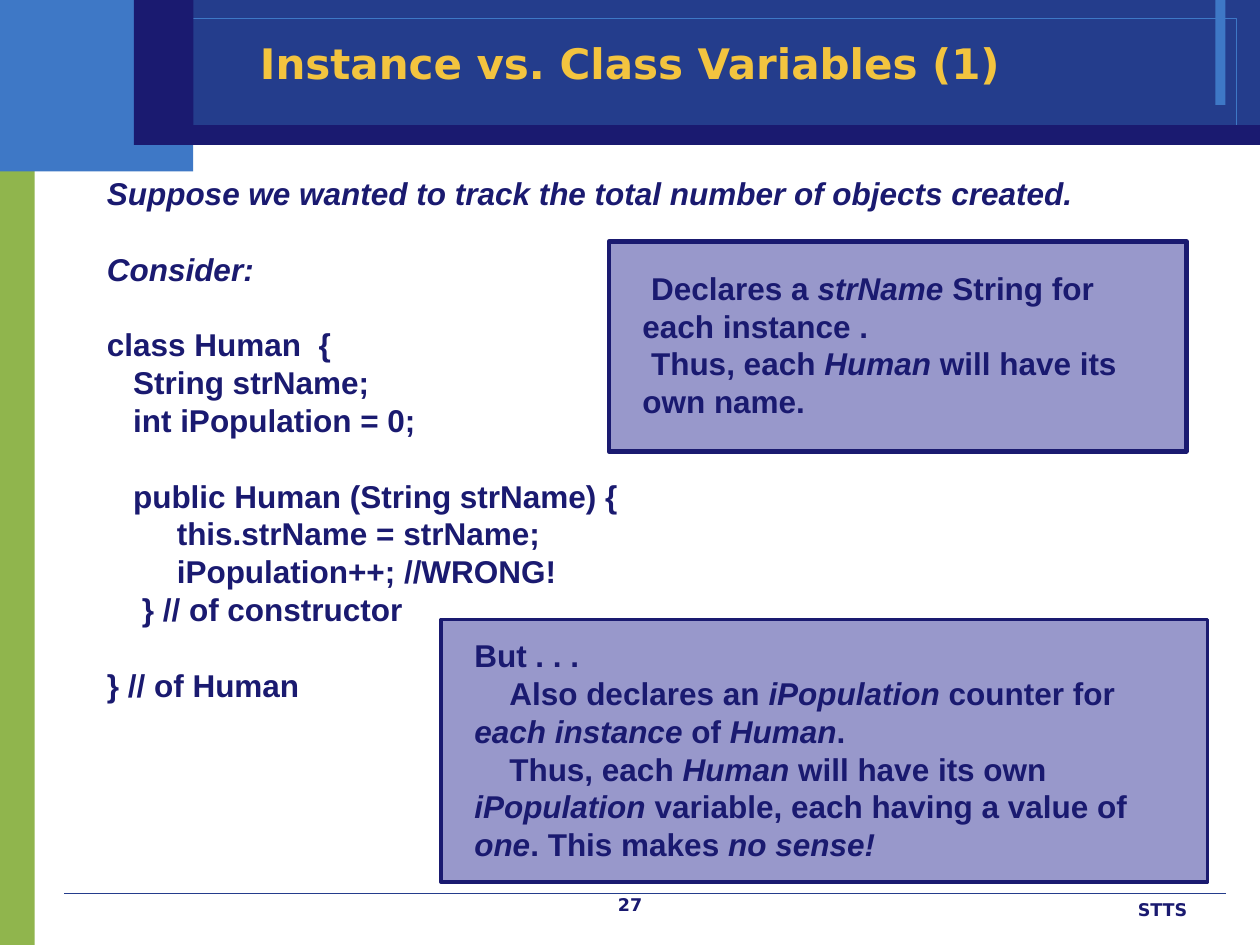
from lxml.etree import SubElement
from pptx import Presentation
from pptx.dml.color import RGBColor
from pptx.enum.shapes import MSO_CONNECTOR, MSO_SHAPE
from pptx.enum.text import MSO_ANCHOR, PP_ALIGN
from pptx.oxml.ns import qn
from pptx.util import Pt

COLORS = {
    "green": "90B54D", "sky": "3E78C6", "blue": "243D8C",
    "navy": "1A1A70", "gold": "F3C43F", "violet": "333399",
}

TITLE = "Instance vs. Class Variables (1)"
PAGE_NUMBER = "27"
FOOTER = "STTS"

LESSON_BLOCKS = [
    ["*Suppose we wanted to track the total number of objects created.*"],
    ["*Consider:*"],
    ["class Human  {", "   String strName;", "   int iPopulation = 0;"],
    ["   public Human (String strName) {",
     "        this.strName = strName;",
     "        iPopulation++; //WRONG!",
     "    } // of constructor"],
    ["} // of Human"],
]

NOTES = [
    {"card": (348, 138, 330, 120), "border": 2.5, "box": (360, 150, 306, 115),
     "lines": [("Declares a *strName* String for each instance .", 5),
               ("Thus, each *Human* will have its own name.", 5)]},
    {"card": (252, 354, 438, 150), "border": 2, "box": (264, 360, 396, 137),
     "lines": [("But . . .", 0),
               ("Also declares an *iPopulation* counter for "
                "*each instance* of *Human*.", 20),
               ("Thus, each *Human* will have its own *iPopulation* variable, "
                "each having a value of *one*. This makes *no sense!*", 20)]},
]

BANDS = [
    ((0, 76.8, 19.8, 463.2), "green", None),
    ((0, 0, 110.4, 98), "sky", None),
    ((110.4, 0, 609.6, 82.8), "blue", None),
    ((694.5, 0, 5.8, 60), "sky", None),
    ((14.4, 10.5, 691.9, 61.2), None, "sky"),
    ((93.6, 71.5, 626.4, 11.3), "navy", None),
    ((76.5, 0, 34, 82.8), "navy", None),
]

LINE_HEIGHT = 21.6


def rgb(name):
    return RGBColor.from_string(COLORS[name])


def add_rect(slide, frame, fill=None, line=None, width=0.5, alpha=None):
    rect = slide.shapes.add_shape(MSO_SHAPE.RECTANGLE, *map(Pt, frame))
    rect.shadow.inherit = False
    if fill:
        rect.fill.solid()
        rect.fill.fore_color.rgb = rgb(fill)
    else:
        rect.fill.background()
    if alpha:
        color = rect.fill._xPr.find(qn("a:solidFill"))[0]
        SubElement(color, qn("a:alpha"), val=str(alpha * 1000))
    if line:
        rect.line.color.rgb = rgb(line)
        rect.line.width = Pt(width)
    else:
        rect.line.fill.background()


def add_box(slide, frame):
    return slide.shapes.add_textbox(*map(Pt, frame))


def write(holder, text, size=18, font="Arial", color="navy", first=True,
          align=PP_ALIGN.LEFT, before=0, indent=0, leading=None):
    frame = holder.text_frame
    frame.word_wrap = True
    paragraph = frame.paragraphs[0] if first else frame.add_paragraph()
    paragraph.alignment = align
    paragraph.space_before = Pt(before)
    if leading:
        paragraph.line_spacing = Pt(leading)
    if indent:
        paragraph._p.get_or_add_pPr().set("indent", str(Pt(indent)))
    for position, piece in enumerate(text.split("*")):
        if piece:
            run = paragraph.add_run()
            run.text = piece
            run.font.size = Pt(size)
            run.font.name = font
            run.font.bold = True
            run.font.italic = position % 2 == 1
            run.font.color.rgb = rgb(color)


def add_backdrop(slide):
    for frame, fill, line in BANDS:
        add_rect(slide, frame, fill, line)
    rule = slide.shapes.add_connector(
        MSO_CONNECTOR.STRAIGHT, Pt(36.6), Pt(510.5), Pt(700.5), Pt(510.5))
    rule.line.color.rgb = rgb("blue")
    rule.line.width = Pt(0.5)
    SubElement(rule._element.spPr, qn("a:effectLst"))


def add_lesson(slide):
    lesson = add_box(slide, (54, 96, 630, 353))
    for block_index, block in enumerate(LESSON_BLOCKS):
        for line_index, text in enumerate(block):
            first = block_index == line_index == 0
            opens_block = line_index == 0 and not first
            write(lesson, text, first=first, leading=LINE_HEIGHT,
                  before=LINE_HEIGHT if opens_block else 0)


def add_note(slide, note):
    add_rect(slide, note["card"], "violet", "navy", note["border"], alpha=50)
    explanation = add_box(slide, note["box"])
    for index, (text, indent) in enumerate(note["lines"]):
        write(explanation, text, first=index == 0, indent=indent,
              leading=LINE_HEIGHT)


def main():
    deck = Presentation()
    deck.slide_width, deck.slide_height = Pt(720), Pt(540)
    slide = deck.slides.add_slide(deck.slide_layouts[5])
    add_backdrop(slide)
    write(add_box(slide, (552, 510, 133.5, 18)), FOOTER, size=10,
          font="DejaVu Sans", align=PP_ALIGN.RIGHT)
    write(add_box(slide, (276, 507.5, 168, 18)), PAGE_NUMBER, size=10,
          font="DejaVu Sans", align=PP_ALIGN.CENTER)
    add_lesson(slide)
    for note in NOTES:
        add_note(slide, note)

    title = slide.shapes.title
    title.left, title.top, title.width, title.height = map(Pt, (54, 0, 612, 72))
    title.text_frame.vertical_anchor = MSO_ANCHOR.MIDDLE
    write(title, TITLE, size=24, font="DejaVu Sans", color="gold",
          align=PP_ALIGN.CENTER)
    slide.shapes._spTree.append(title._element)
    deck.save("out.pptx")


if __name__ == "__main__":
    main()
